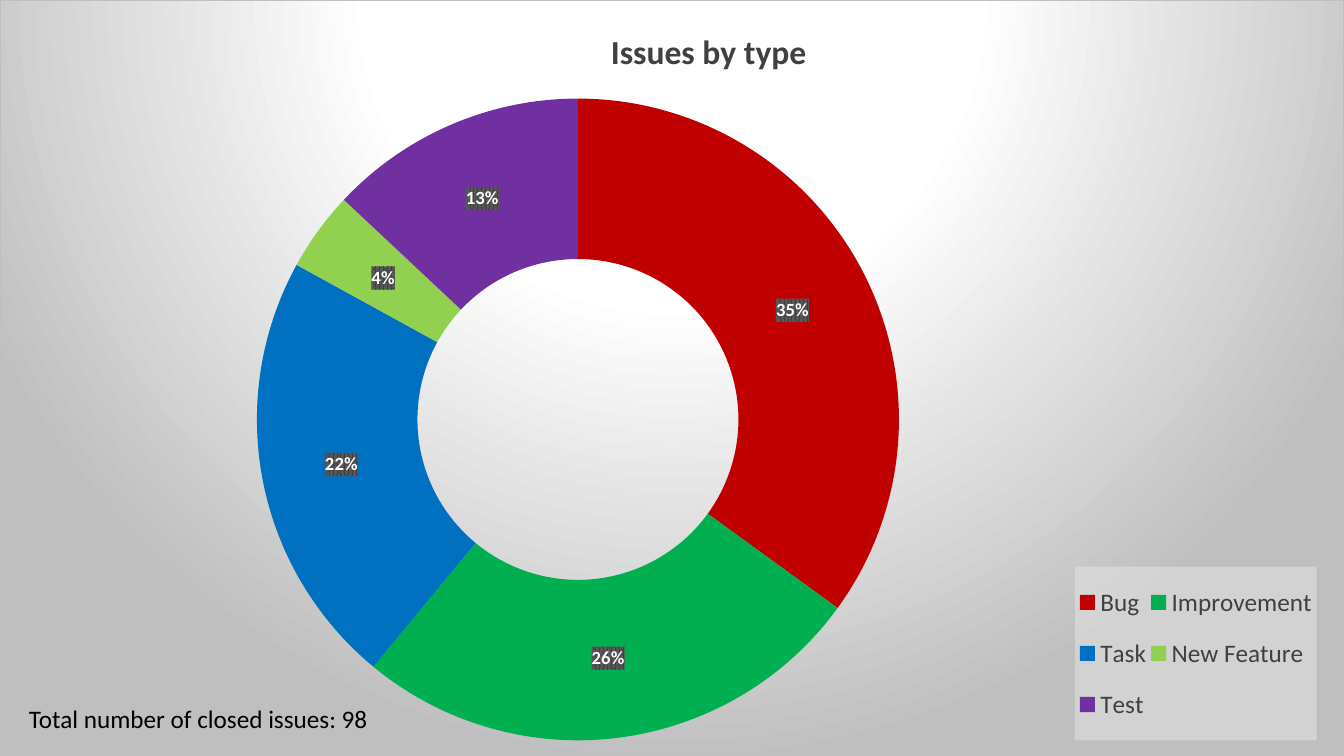
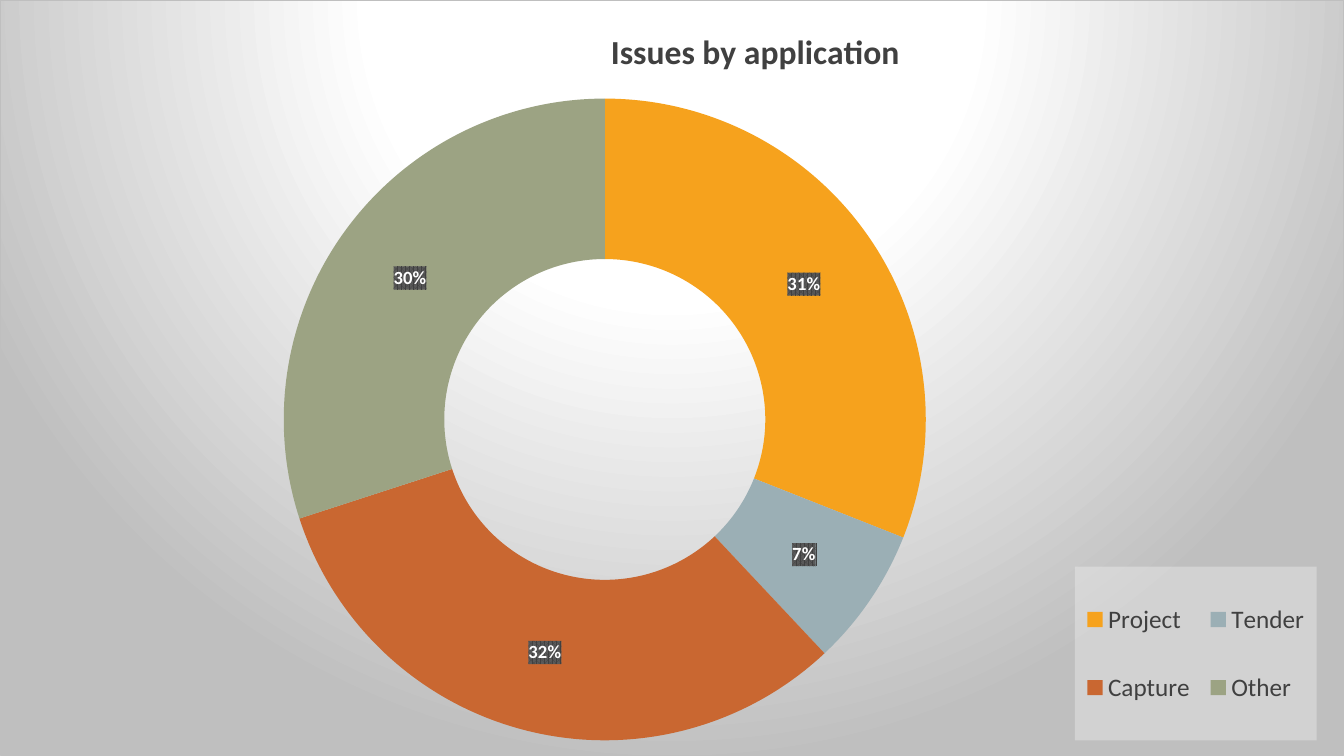
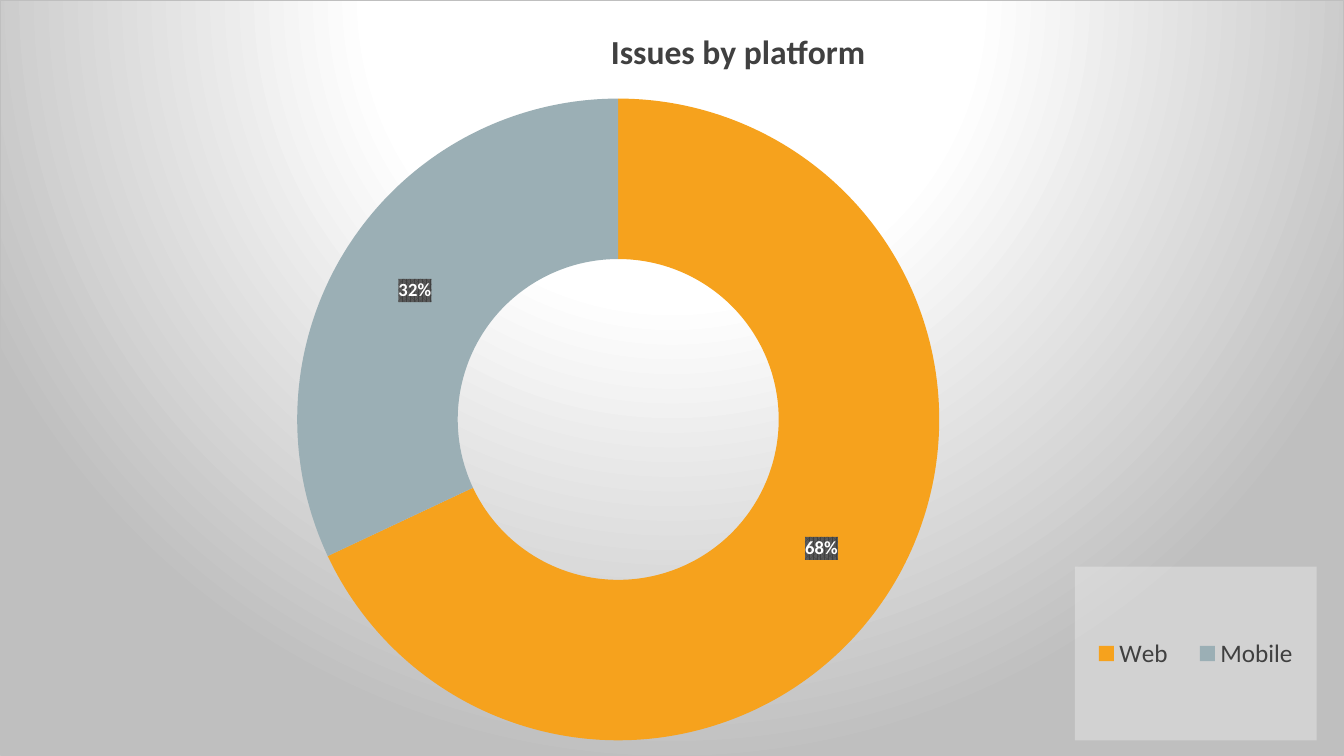
from dataclasses import dataclass
from pptx import Presentation
from pptx.chart.data import CategoryChartData as Data
from pptx.dml.color import RGBColor as Rgb
from pptx.enum.chart import XL_CHART_TYPE as Kind, XL_LEGEND_POSITION as Side
from pptx.oxml import parse_xml
from pptx.oxml.ns import nsdecls, qn
from pptx.util import Cm, Pt


@dataclass(frozen=True)
class Theme:
    face: str = "Calibri"
    page: str = "F2F2F2"
    ink: str = "000000"
    text: str = "404040"
    light: str = "FFFFFF"
    edge: str = "BFBFBF"
    tag: str = "595959"
    base: float = 10
    head: float = 24
    note: float = 18
    label: float = 13.3


T = Theme()
WIDE, HIGH = Cm(33.87), Cm(19.05)
ORANGE, STEEL, RUST, SAGE = "F6A21D", "9BAFB5", "C96731", "9CA383"

PAGES = [
    ("Issues by type", 0.19, [
        ("Bug", 35, "C00000"), ("Improvement", 26, "00B050"),
        ("Task", 22, "0070C0"), ("New Feature", 4, "92D050"),
        ("Test", 13, "7030A0")]),
    ("Issues by application", 0.21, [
        ("Project", 31, ORANGE), ("Tender", 7, STEEL),
        ("Capture", 32, RUST), ("Other", 30, SAGE)]),
    ("Issues by platform", 0.22, [("Web", 68, ORANGE), ("Mobile", 32, STEEL)]),
]


def color(code):
    return f'<a:srgbClr val="{code}"/>'


STOPS = "".join(f'<a:gs pos="{at}000">{color(code)}</a:gs>'
                for at, code in ((0, T.light), (39, T.light), (100, T.edge)))
GLOW = (f'<a:gradFill><a:gsLst>{STOPS}</a:gsLst><a:path path="circle">'
        '<a:fillToRect l="50000" t="-80000" r="50000" b="180000"/></a:path></a:gradFill>'
        f'<a:ln w="9525"><a:solidFill>{color(T.edge)}</a:solidFill></a:ln>')
VEIL = (f'<a:solidFill><a:srgbClr val="{T.page}"><a:alpha val="39000"/>'
        '</a:srgbClr></a:solidFill>')
WEAVE = (f'<a:pattFill prst="pct75"><a:fgClr>{color(T.text)}</a:fgClr>'
         f'<a:bgClr>{color(T.tag)}</a:bgClr></a:pattFill>')


def style(font, size, code, bold=False):
    font.name, font.size, font.bold = T.face, Pt(size), bold
    font.color.rgb = Rgb.from_string(code)


def skin(node, fill):
    node.find(qn("c:txPr")).addprevious(
        parse_xml(f'<c:spPr {nsdecls("c", "a")}>{fill}</c:spPr>'))


def place(node, slot, inner=False, **box):
    for old in node.findall(qn("c:layout")):
        node.remove(old)
    target = '<c:layoutTarget val="inner"/>' if inner else ""
    modes = "".join(f'<c:{key}Mode val="edge"/>' for key in "xy")
    sizes = "".join(f'<c:{key} val="{val}"/>' for key, val in box.items())
    node.insert(slot, parse_xml(
        f'<c:layout {nsdecls("c")}><c:manualLayout>{target}{modes}{sizes}'
        '</c:manualLayout></c:layout>'))


def add_ring(slide, box, title, left, parts):
    data = Data()
    data.categories = [name for name, _, _ in parts]
    data.add_series(title, [val for _, val, _ in parts])
    chart = slide.shapes.add_chart(Kind.DOUGHNUT, *box, data).chart
    root = chart.element
    style(chart.font, T.base, T.ink)
    skin(root, GLOW)

    chart.has_title = True
    para = chart.chart_title.text_frame.paragraphs[0]
    para.text = title
    style(para.font, T.head, T.text, True)
    place(root.xpath(".//c:title")[0], 1, x=0.45, y=0.03)

    chart.has_legend = True
    chart.legend.position = Side.RIGHT
    chart.legend.include_in_layout = False
    style(chart.legend.font, T.note, T.text)
    key = root.xpath(".//c:legend")[0]
    place(key, 1, x=0.8, y=0.75, w=0.18, h=0.23)
    skin(key, VEIL)

    place(root.xpath(".//c:plotArea")[0], 0, True, x=left, y=0.13, w=0.48, h=0.85)
    plot = chart.plots[0]
    plot.vary_by_categories = True
    ring = plot.series[0]
    for spot, (_, _, code) in enumerate(parts):
        look = ring.points[spot].format
        look.fill.solid()
        look.fill.fore_color.rgb = Rgb.from_string(code)
        look.line.fill.background()
    tags = ring.data_labels
    tags.show_value, tags.show_percentage = False, True
    tags.number_format, tags.number_format_is_linked = "0%", False
    style(tags.font, T.label, T.light, True)
    skin(root.xpath(".//c:ser/c:dLbls")[0], WEAVE)


def add_note(slide, box, text):
    frame = slide.shapes.add_textbox(*box).text_frame
    frame.word_wrap = True
    para = frame.paragraphs[0]
    para.text = text
    style(para.font, T.note, T.ink)


def main():
    deck = Presentation()
    deck.slide_width, deck.slide_height = WIDE, HIGH
    back = deck.slide_master.background.fill
    back.solid()
    back.fore_color.rgb = Rgb.from_string(T.page)
    for page in PAGES:
        slide = deck.slides.add_slide(deck.slide_layouts[6])
        add_ring(slide, (0, 0, WIDE, HIGH), *page)
    add_note(deck.slides[0], (Cm(0.48), Cm(17.6), Cm(9.63), Cm(1.02)),
             "Total number of closed issues: 98")
    deck.save("out.pptx")


if __name__ == "__main__":
    main()
